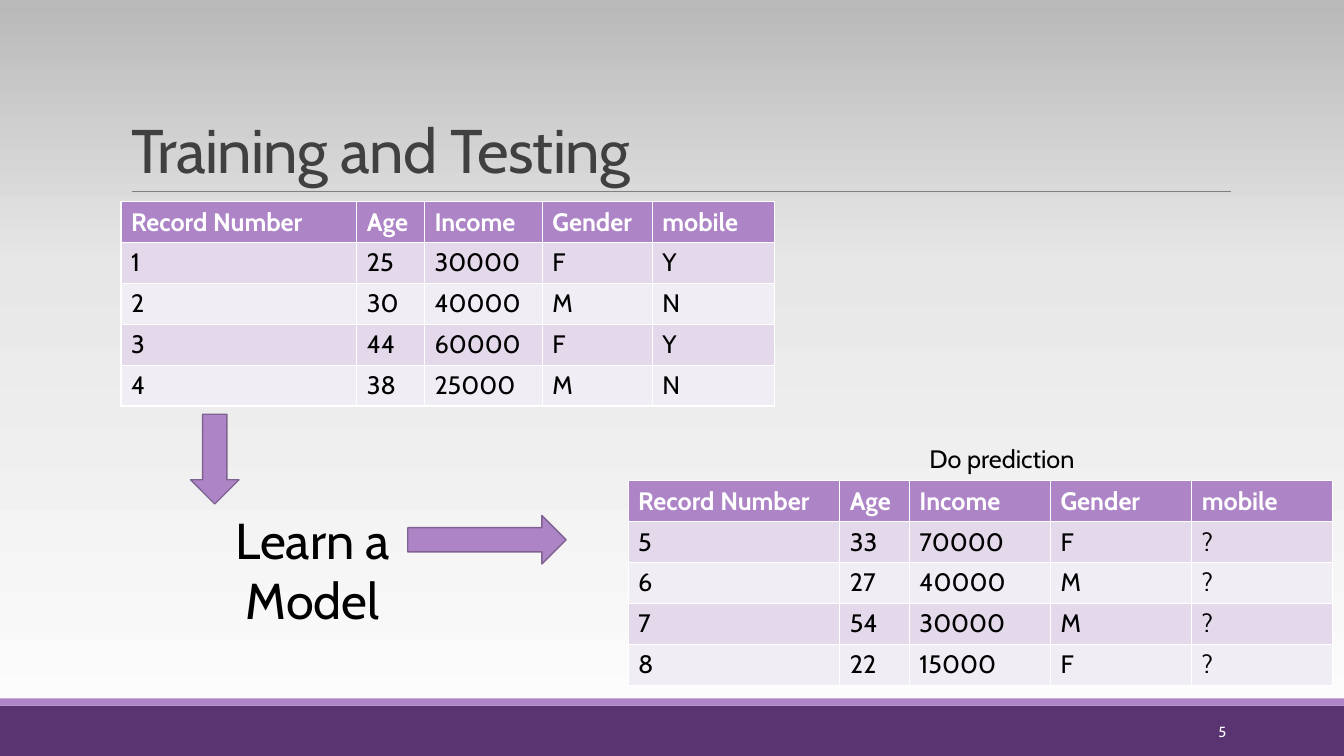
from copy import deepcopy
from dataclasses import dataclass

from pptx import Presentation
from pptx.dml.color import RGBColor
from pptx.enum.shapes import MSO_CONNECTOR, MSO_SHAPE
from pptx.enum.text import MSO_ANCHOR, MSO_AUTO_SIZE, PP_ALIGN
from pptx.oxml.ns import qn
from pptx.oxml.xmlchemy import OxmlElement
from pptx.shapes.autoshape import Shape
from pptx.slide import Slide
from pptx.text.text import TextFrame
from pptx.util import Inches, Pt

FONT = "Cabin"
WHITE = RGBColor(0xFF, 0xFF, 0xFF)
BLACK = RGBColor(0x00, 0x00, 0x00)
TITLE_GRAY = RGBColor(0x40, 0x40, 0x40)
RULE_GRAY = RGBColor(0x80, 0x80, 0x80)
PURPLE = RGBColor(0xAD, 0x84, 0xC6)
DARK_PURPLE = RGBColor(0x5A, 0x34, 0x71)
OUTLINE_PURPLE = RGBColor(0x80, 0x62, 0x92)
ROW_FILLS = (RGBColor(0xE3, 0xD9, 0xEA), RGBColor(0xF1, 0xED, 0xF5))
BACKGROUND_STOPS = (
    (0, RGBColor(0xFE, 0xFE, 0xFE)),
    (0.65, RGBColor(0xE7, 0xE7, 0xE7)),
    (1, RGBColor(0xB9, 0xB9, 0xB9)),
)
HEADER = ("Record Number", "Age", "Income", "Gender", "mobile")
ROW_HEIGHT = 0.405


@dataclass(frozen=True)
class Box:
    left: float
    top: float
    width: float
    height: float

    def lengths(self) -> tuple[Inches, ...]:
        return tuple(map(Inches, (self.left, self.top, self.width, self.height)))


@dataclass(frozen=True)
class RecordTable:
    left: float
    top: float
    column_widths: tuple[float, ...]
    records: tuple[tuple[str, ...], ...]


@dataclass(frozen=True)
class Label:
    text: str
    box: Box
    size: float
    color: RGBColor = BLACK
    alignment: PP_ALIGN = PP_ALIGN.LEFT
    anchor: MSO_ANCHOR = MSO_ANCHOR.TOP
    wrap: bool = True


@dataclass(frozen=True)
class Arrow:
    box: Box
    rotation: float = 0


BANDS = (
    (Box(0, 7, 13.33, 0.5), DARK_PURPLE),
    (Box(0, 6.93, 13.33, 0.07), PURPLE),
)
TRAINING = RecordTable(1.2, 2, (2.34, 0.67, 1.17, 1.09, 1.21), (
    ("1", "25", "30000", "F", "Y"),
    ("2", "30", "40000", "M", "N"),
    ("3", "44", "60000", "F", "Y"),
    ("4", "38", "25000", "M", "N"),
))
TESTING = RecordTable(6.23, 4.77, (2.1, 0.69, 1.4, 1.4, 1.4), (
    ("5", "33", "70000", "F", "?"),
    ("6", "27", "40000", "M", "?"),
    ("7", "54", "30000", "M", "?"),
    ("8", "22", "15000", "F", "?"),
))
LABELS = (
    Label("5", Box(10.83, 7.06, 1.43, 0.4), 10.5, WHITE,
          PP_ALIGN.RIGHT, MSO_ANCHOR.MIDDLE),
    Label("Learn a Model", Box(2.14, 5, 1.92, 1.31), 36,
          alignment=PP_ALIGN.CENTER),
    Label("Do prediction", Box(9.12, 4.35, 1.64, 0.4), 18, wrap=False),
)
ARROWS = (
    Arrow(Box(1.89, 4.11, 0.48, 0.89)),
    Arrow(Box(4.59, 4.57, 0.48, 1.57), rotation=270),
)


def write_text(frame: TextFrame, text: str, size: float, color: RGBColor,
               bold: bool = False) -> None:
    frame.text = text
    font = frame.paragraphs[0].runs[0].font
    font.name, font.size, font.bold = FONT, Pt(size), bold
    font.color.rgb = color


def paint_background(slide: Slide) -> None:
    fill = slide.background.fill
    fill.gradient()
    fill.gradient_angle = 90
    stop_list = slide.element.find(".//" + qn("a:gsLst"))
    stop_list.append(deepcopy(stop_list[0]))
    for stop, (position, color) in zip(fill.gradient_stops, BACKGROUND_STOPS):
        stop.position = position
        stop.color.rgb = color


def add_filled_shape(slide: Slide, kind: MSO_SHAPE, box: Box, color: RGBColor) -> Shape:
    shape = slide.shapes.add_shape(kind, *box.lengths())
    shape.shadow.inherit = False
    shape.fill.solid()
    shape.fill.fore_color.rgb = color
    shape.line.fill.background()
    return shape


def add_title_rule(slide: Slide) -> None:
    rule = slide.shapes.add_connector(
        MSO_CONNECTOR.STRAIGHT, Inches(1.31), Inches(1.9), Inches(12.21), Inches(1.9))
    rule.line.color.rgb = RULE_GRAY
    rule.line.width = Pt(0.5)
    rule.element.spPr.append(OxmlElement("a:effectLst"))


def format_title(slide: Slide) -> None:
    title = slide.shapes.title
    title.left, title.top, title.width, title.height = Box(1.2, 0.31, 11, 1.59).lengths()
    frame = title.text_frame
    write_text(frame, "Training and Testing", 44, TITLE_GRAY)
    frame.auto_size = MSO_AUTO_SIZE.NONE
    frame.vertical_anchor = MSO_ANCHOR.BOTTOM
    paragraph = frame.paragraphs[0]
    paragraph.alignment = PP_ALIGN.LEFT
    paragraph.line_spacing = 0.85
    title.element.find(".//" + qn("a:rPr")).set("spc", "-50")


def add_record_table(slide: Slide, data: RecordTable) -> None:
    rows = (HEADER, *data.records)
    box = Box(data.left, data.top, sum(data.column_widths), ROW_HEIGHT * len(rows))
    table = slide.shapes.add_table(len(rows), len(HEADER), *box.lengths()).table
    for column, width in zip(table.columns, data.column_widths):
        column.width = Inches(width)
    for row_index, values in enumerate(rows):
        is_header = row_index == 0
        fill_color = PURPLE if is_header else ROW_FILLS[(row_index - 1) % 2]
        for column_index, value in enumerate(values):
            cell = table.cell(row_index, column_index)
            cell.fill.solid()
            cell.fill.fore_color.rgb = fill_color
            write_text(cell.text_frame, value, 18,
                       WHITE if is_header else BLACK, bold=is_header)


def add_label(slide: Slide, label: Label) -> None:
    frame = slide.shapes.add_textbox(*label.box.lengths()).text_frame
    write_text(frame, label.text, label.size, label.color)
    frame.word_wrap = label.wrap
    frame.vertical_anchor = label.anchor
    frame.paragraphs[0].alignment = label.alignment


def add_arrow(slide: Slide, arrow: Arrow) -> None:
    shape = add_filled_shape(slide, MSO_SHAPE.DOWN_ARROW, arrow.box, PURPLE)
    shape.rotation = arrow.rotation
    shape.line.color.rgb = OUTLINE_PURPLE
    shape.line.width = Pt(1)


def main() -> None:
    presentation = Presentation()
    presentation.slide_width = Inches(13.33)
    presentation.slide_height = Inches(7.5)
    slide = presentation.slides.add_slide(
        presentation.slide_layouts.get_by_name("Title Only"))
    paint_background(slide)
    for box, color in BANDS:
        add_filled_shape(slide, MSO_SHAPE.RECTANGLE, box, color)
    add_title_rule(slide)
    format_title(slide)
    for data in (TRAINING, TESTING):
        add_record_table(slide, data)
    for label in LABELS:
        add_label(slide, label)
    for arrow in ARROWS:
        add_arrow(slide, arrow)
    presentation.save("out.pptx")


if __name__ == "__main__":
    main()
